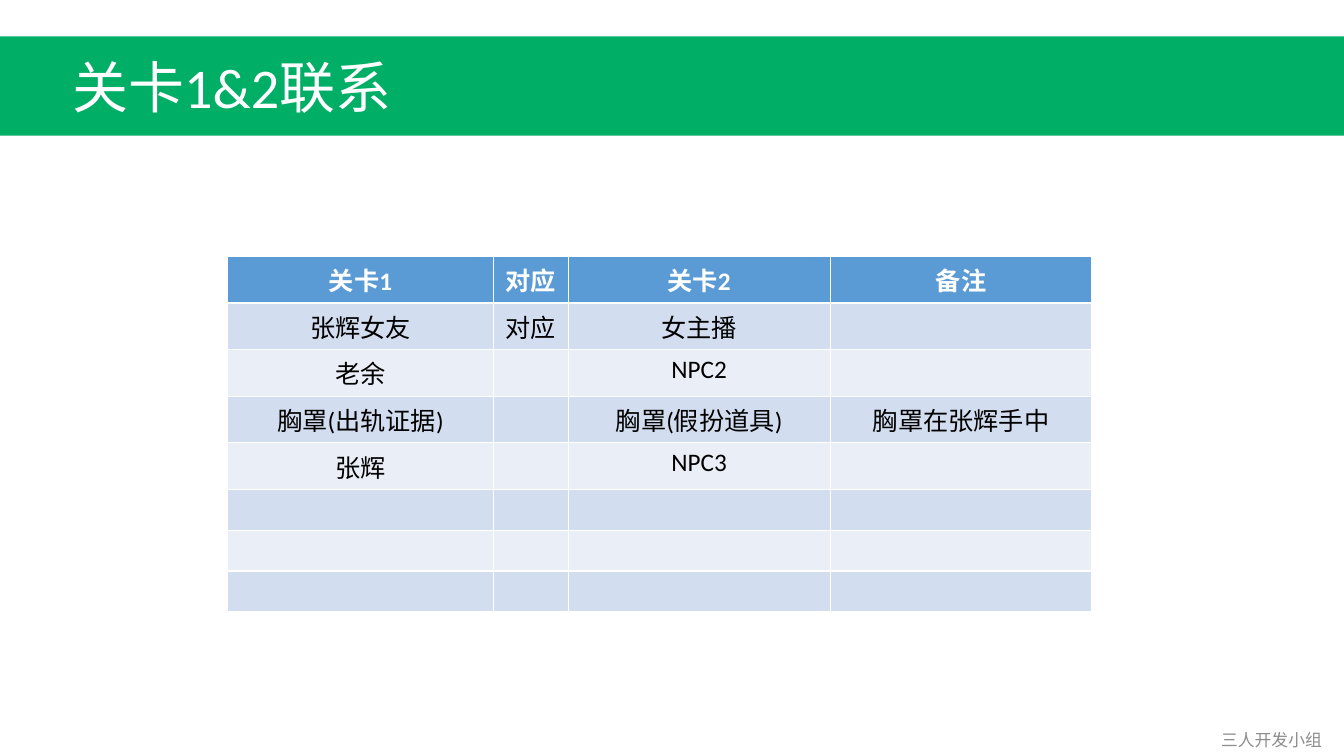
from pptx import Presentation
from pptx.dml.color import RGBColor
from pptx.enum.shapes import MSO_SHAPE
from pptx.enum.text import MSO_ANCHOR, PP_ALIGN
from pptx.util import Cm, Pt

GREEN, BLUE, WHITE, BLACK, GRAY = "00AE66", "5B9BD5", "FFFFFF", "000000", "8C8C8C"
ROW_FILLS = ("D2DEEF", "EAEFF7")
COLUMN_WIDTHS = (6.71, 1.88, 6.6, 6.6)
ROWS = [
    ("关卡1", "对应", "关卡2", "备注"),
    ("张辉女友", "对应", "女主播", ""),
    ("老余", "", "NPC2", ""),
    ("胸罩(出轨证据)".replace("(", "(").replace(")", ")"), "",
     "胸罩(假扮道具)".replace("(", "(").replace(")", ")"), "胸罩在张辉手中"),
    ("张辉", "", "NPC3", ""),
] + [("",) * 4] * 3


def set_color(target, color):
    """Give a fill or a font a solid colour from a hex string."""
    if hasattr(target, "solid"):
        target.solid()
        target.fore_color.rgb = RGBColor.from_string(color)
    else:
        target.color.rgb = RGBColor.from_string(color)


def write(text_frame, text, color, align=PP_ALIGN.CENTER, **font_format):
    """Write one formatted paragraph into a text frame."""
    paragraph = text_frame.paragraphs[0]
    paragraph.alignment = align
    run = paragraph.add_run()
    run.text = text
    for name, value in {"name": "Calibri", **font_format}.items():
        setattr(run.font, name, value)
    set_color(run.font, color)


def add_header(slide, left, top, width, height):
    """Place the green band with the slide title on it."""
    band = slide.shapes.add_shape(MSO_SHAPE.RECTANGLE, left, top, width, height)
    band.shadow.inherit = False
    set_color(band.fill, GREEN)
    band.line.fill.background()

    title = slide.shapes.title
    title.element.addprevious(band.element)
    title_box = {"left": left + Cm(1.57), "top": top + Cm(0.28),
                 "width": Cm(11.94), "height": Cm(1.96)}
    for name, value in title_box.items():
        setattr(title, name, value)
    title.text_frame.vertical_anchor = MSO_ANCHOR.TOP
    write(title.text_frame, "关卡1&2联系", WHITE, PP_ALIGN.LEFT, size=Pt(40))


def add_level_table(slide, left, top, width, height):
    """Place the table that matches level 1 with level 2."""
    table = slide.shapes.add_table(
        len(ROWS), len(COLUMN_WIDTHS), left, top, width, height).table
    for column, column_width in zip(table.columns, COLUMN_WIDTHS):
        column.width = Cm(column_width)
    for row_index, row in enumerate(ROWS):
        is_header = row_index == 0
        fill = BLUE if is_header else ROW_FILLS[(row_index - 1) % 2]
        for column_index, text in enumerate(row):
            cell = table.cell(row_index, column_index)
            set_color(cell.fill, fill)
            if text:
                write(cell.text_frame, text, WHITE if is_header else BLACK,
                      size=Pt(18), bold=is_header)


def add_footer(slide, left, top, width, height):
    """Place the team name in the bottom corner."""
    text_frame = slide.shapes.add_textbox(left, top, width, height).text_frame
    text_frame.word_wrap = True
    text_frame.vertical_anchor = MSO_ANCHOR.MIDDLE
    write(text_frame, "三人开发小组", GRAY, size=Pt(12))


presentation = Presentation()
presentation.slide_width, presentation.slide_height = Cm(33.87), Cm(19.05)
slide = presentation.slides.add_slide(presentation.slide_layouts[5])
add_header(slide, Cm(0), Cm(0.92), presentation.slide_width, Cm(2.5))
add_level_table(slide, Cm(5.73), Cm(6.46), Cm(sum(COLUMN_WIDTHS)), Cm(8.24))
add_footer(slide, Cm(30.23), Cm(18.31), Cm(3.63), Cm(0.69))
presentation.save("out.pptx")
